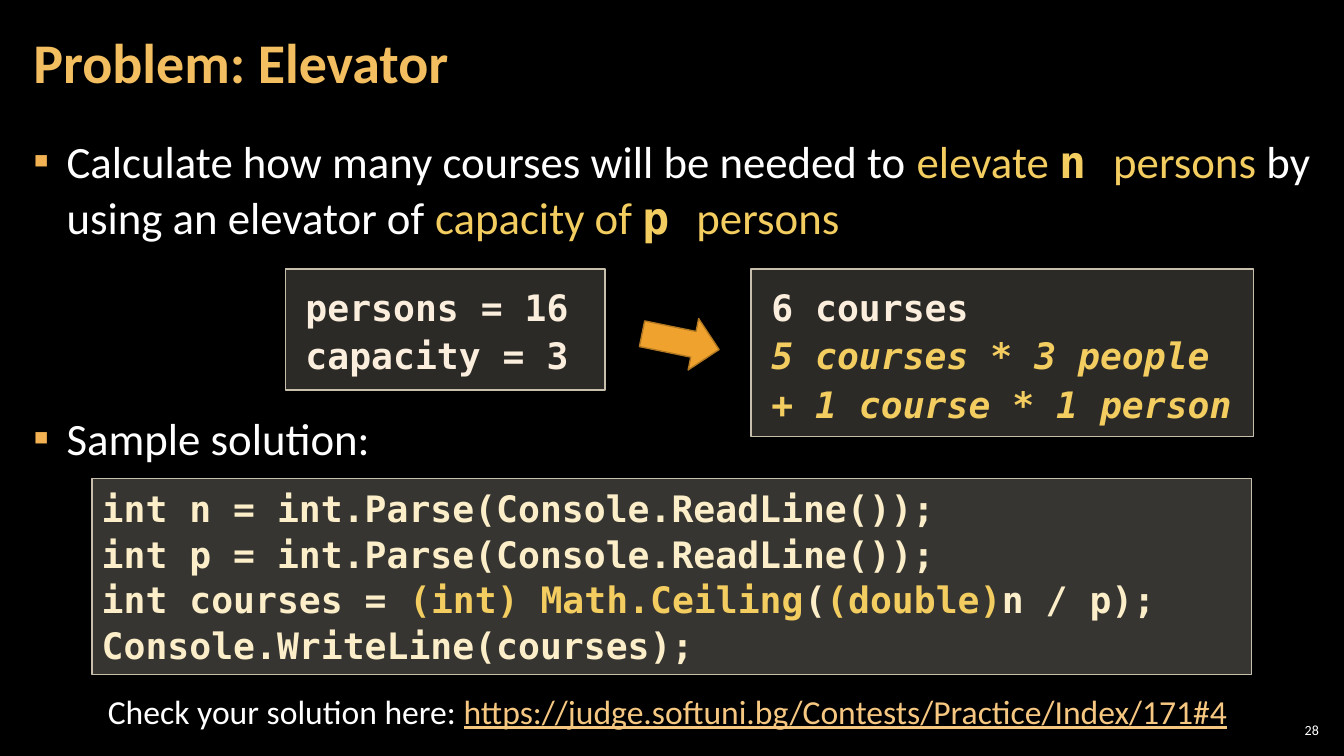
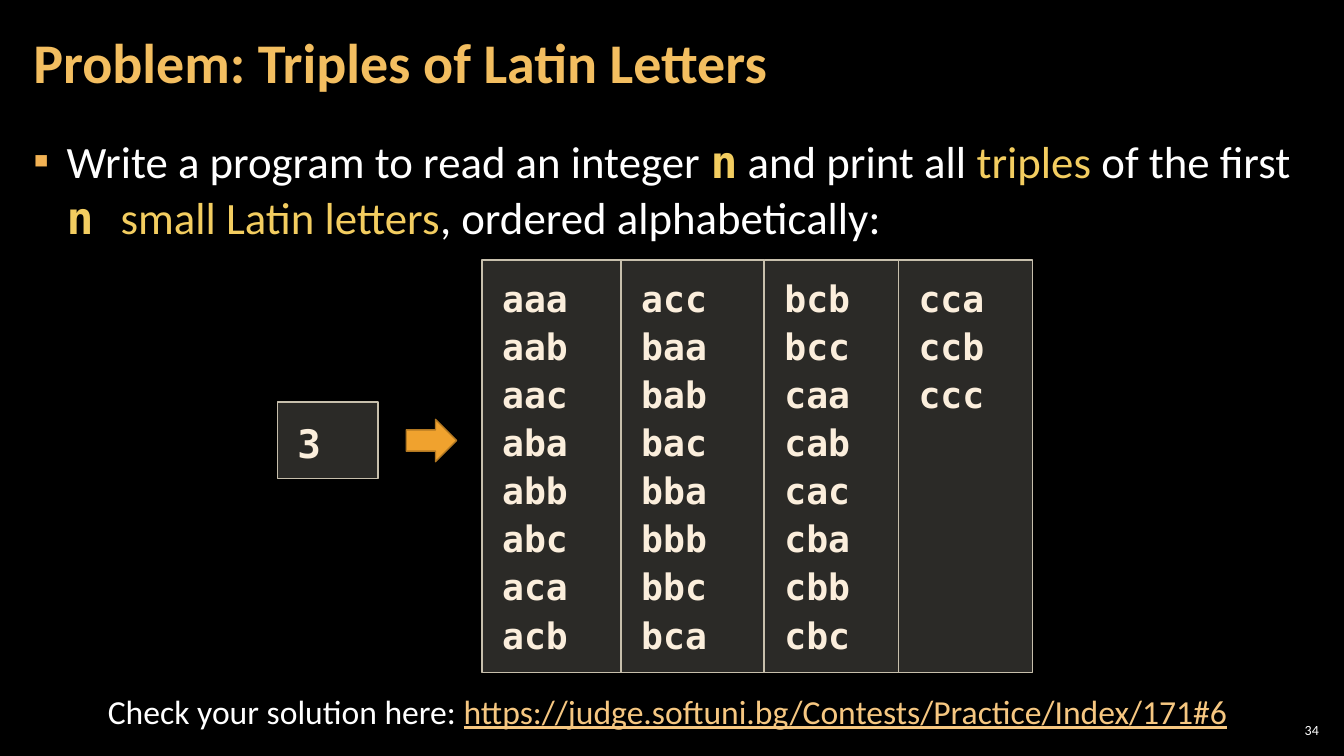
from itertools import product

from lxml import etree
from pptx import Presentation
from pptx import util as u
from pptx.dml.color import RGBColor
from pptx.enum import shapes, text
from pptx.oxml import ns

WIDTH, HEIGHT = u.Inches(13.33), u.Inches(7.5)
SANS, MONO = "Calibri", "DejaVu Sans Mono"
COLORS = {
    "background": "000000",
    "text": "FFFFFF",
    "title": "F3BE60",
    "bullet": "F2B254",
    "key": "F3CD60",
    "link": "F6C781",
    "sample": "FBEEDC",
    "code": "FBEEC9",
    "panel": "D9D5C7",
    "panel_line": "C7BFAC",
    "arrow": "F0A22E",
    "arrow_line": "B27822",
}
# Each style: font, colour, bold, italic, underline
STYLES = {
    "title": (SANS, "title", True, False, False),
    "text": (SANS, "text", False, False, False),
    "key": (SANS, "key", False, False, False),
    "variable": (MONO, "key", True, False, False),
    "link": (SANS, "link", False, False, True),
    "sample": (MONO, "sample", True, False, False),
    "note": (MONO, "key", True, True, False),
    "code": (MONO, "code", True, False, False),
}


def rgb(name):
    return RGBColor.from_string(COLORS[name])


def box(x, y, w, h):
    """Turn percentages of the slide's size into left, top, width, height."""
    return [int(WIDTH * x / 100), int(HEIGHT * y / 100),
            int(WIDTH * w / 100), int(HEIGHT * h / 100)]


def place(sp, area):
    sp.left, sp.top, sp.width, sp.height = box(*area)


def frame(sp, insets=(0.1, 0.05), anchor=text.MSO_ANCHOR.TOP):
    """Prepare a text frame; insets are horizontal and vertical inches."""
    tf = sp.text_frame
    tf.word_wrap = True
    tf.auto_size = text.MSO_AUTO_SIZE.NONE
    tf.vertical_anchor = anchor
    tf.margin_left = tf.margin_right = u.Inches(insets[0])
    tf.margin_top = tf.margin_bottom = u.Inches(insets[1])
    return tf


def add_runs(p, runs, size):
    for words, style in runs:
        r = p.add_run()
        r.text = words
        font, color, bold, italic, underline = STYLES[style]
        r.font.name, r.font.size = font, u.Pt(size)
        r.font.bold, r.font.italic, r.font.underline = bold, italic, underline
        r.font.color.rgb = rgb(color)


def fill_paragraphs(tf, lines, size, spacing=1.0, align=text.PP_ALIGN.LEFT):
    """Write one paragraph for each list of (words, style) runs."""
    for i, runs in enumerate(lines):
        p = tf.add_paragraph() if i else tf.paragraphs[0]
        p.alignment = align
        p.line_spacing = spacing
        p.space_before = u.Pt(0)
        add_runs(p, runs, size)


def add_bullet(p):
    pPr = p._p.get_or_add_pPr()
    pPr.set("marL", str(u.Inches(0.33)))
    pPr.set("indent", str(-u.Inches(0.33)))
    color = etree.SubElement(pPr, ns.qn("a:buClr"))
    etree.SubElement(color, ns.qn("a:srgbClr"), val=COLORS["bullet"])
    etree.SubElement(pPr, ns.qn("a:buFont"), typeface=SANS)
    etree.SubElement(pPr, ns.qn("a:buChar"), char="▪")


def add_text(s, area, runs, size, align, **layout):
    sp = s.shapes.add_textbox(*box(*area))
    fill_paragraphs(frame(sp, **layout), [runs], size, align=align)


def add_shape(s, kind, area, fill, line):
    sp = s.shapes.add_shape(kind, *box(*area))
    sp.shadow.inherit = False
    sp.fill.solid()
    sp.fill.fore_color.rgb = rgb(fill)
    sp.line.color.rgb = rgb(line)
    sp.line.width = u.Pt(1)
    return sp


def add_panel(s, area, lines, size=26, spacing=1.1, insets=(0.2, 0.12), opacity=20):
    """Draw a translucent box with lines of monospaced text."""
    sp = add_shape(s, shapes.MSO_SHAPE.RECTANGLE, area, "panel", "panel_line")
    color = sp._element.xpath("./p:spPr/a:solidFill/a:srgbClr")[0]
    etree.SubElement(color, ns.qn("a:alpha"), val=str(opacity * 1000))
    fill_paragraphs(frame(sp, insets), lines, size, spacing)


def add_arrow(s, area, rotation=0):
    sp = add_shape(s, shapes.MSO_SHAPE.RIGHT_ARROW, area, "arrow", "arrow_line")
    sp.rotation = rotation


def add_problem(prs, title, bullets, number, task):
    """Add a slide with title, (space before, runs) bullets, check link and number."""
    s = prs.slides.add_slide(prs.slide_layouts[1])
    heading, body = s.placeholders[0], s.placeholders[1]
    place(heading, (1.58, 0.53, 78.54, 16.13))
    fill_paragraphs(frame(heading, (0.12, 0.04), text.MSO_ANCHOR.MIDDLE),
                    [[(title, "title")]], 40, 0.9)

    place(body, (1.58, 16.8, 96.85, 81.2))
    tf = frame(body, (0.12, 0.04))
    fill_paragraphs(tf, [runs for _, runs in bullets], 32, 1.05)
    for p, (gap, _) in zip(tf.paragraphs, bullets):
        add_bullet(p)
        p.space_before, p.space_after = u.Pt(gap), u.Pt(6)

    url = f"https://judge.softuni.bg/Contests/Practice/Index/171#{task}"
    add_text(s, (6.23, 90.67, 86.87, 6.67),
             [("Check your solution here: ", "text"), (url, "link")],
             24, text.PP_ALIGN.CENTER)
    add_text(s, (94.9, 95.2, 3.53, 2.8), [(str(number), "text")], 10,
             text.PP_ALIGN.RIGHT, insets=(0.04, 0.04), anchor=text.MSO_ANCHOR.MIDDLE)
    return s


def add_elevator(prs):
    task = [("Calculate how many courses will be needed to ", "text"),
            ("elevate ", "key"), ("n ", "variable"), ("persons", "key"),
            (" by using an elevator of ", "text"),
            ("capacity of ", "key"), ("p ", "variable"), ("persons", "key")]
    s = add_problem(prs, "Problem: Elevator",
                    [(0, task), (111, [("Sample solution:", "text")])], 28, 4)
    add_panel(s, (21.23, 35.6, 23.78, 16),
              [[("persons = 16", "sample")], [("capacity = 3", "sample")]])
    add_arrow(s, (47.71, 41.73, 5.85, 6.93), rotation=11.6)
    add_panel(s, (55.89, 35.6, 37.4, 22.13),
              [[("6 courses", "sample")],
               [("5 courses * 3 people + 1 course * 1 person", "note")]])
    add_panel(s, (6.83, 63.33, 86.27, 25.87),
              [[("int n = int.Parse(Console.ReadLine());", "code")],
               [("int p = int.Parse(Console.ReadLine());", "code")],
               [("int courses = ", "code"), ("(int) Math.Ceiling", "note_code"),
                ("(", "code"), ("(double)", "note_code"), ("n / p);", "code")],
               [("Console.WriteLine(courses);", "code")]],
              spacing=1.05, insets=(0.1, 0.05), opacity=25)


def add_triples(prs):
    task = [("Write a program to read an integer ", "text"), ("n", "variable"),
            (" and print all ", "text"), ("triples", "key"),
            (" of the first ", "text"), ("n ", "variable"),
            ("small Latin letters", "key"), (", ordered alphabetically:", "text")]
    s = add_problem(prs, "Problem: Triples of Latin Letters", [(0, task)], 34, 6)
    add_panel(s, (20.63, 53.2, 7.5, 10.13), [[("3", "sample")]], size=28)
    add_arrow(s, (30.23, 55.47, 3.75, 5.6))

    triples = ["".join(letters) for letters in product("abc", repeat=3)]
    rows, left = 8, 35.86
    for i, width in enumerate((10.35, 10.65, 9.98, 9.98)):
        column = triples[i * rows:(i + 1) * rows]
        add_panel(s, (left, 34.4, width, 54.53), [[(t, "sample")] for t in column])
        left += width


def main():
    prs = Presentation()
    prs.slide_width, prs.slide_height = WIDTH, HEIGHT
    fill = prs.slide_master.background.fill
    fill.solid()
    fill.fore_color.rgb = rgb("background")
    add_elevator(prs)
    add_triples(prs)
    prs.save("out.pptx")


STYLES["note_code"] = STYLES["variable"]

if __name__ == "__main__":
    main()
